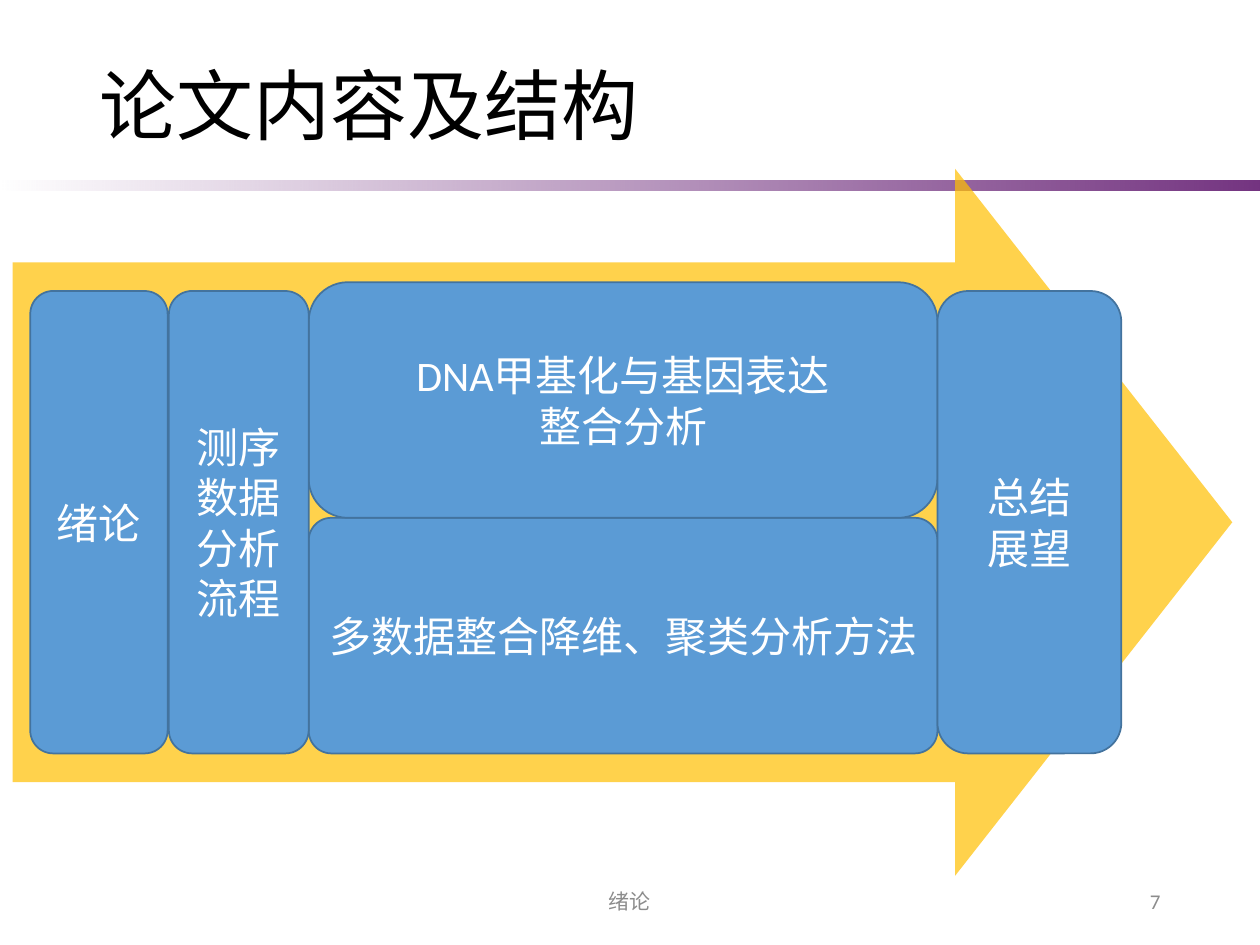
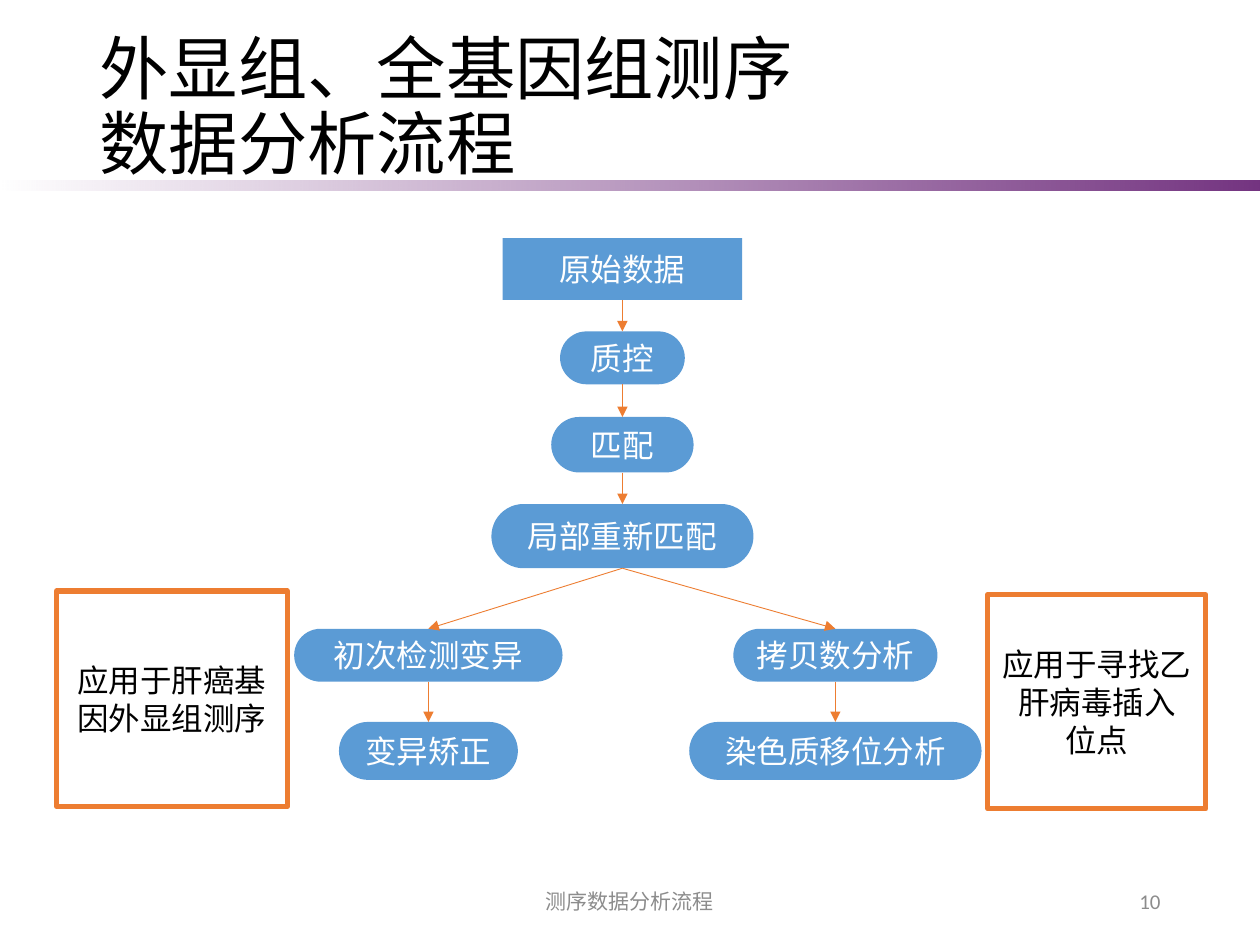
from lxml import etree
from pptx import Presentation
from pptx.dml.color import RGBColor
from pptx.enum.shapes import MSO_CONNECTOR, MSO_SHAPE
from pptx.enum.text import MSO_ANCHOR, MSO_AUTO_SIZE, PP_ALIGN
from pptx.oxml.ns import qn
from pptx.util import Inches, Pt

PURPLE = RGBColor(0x74, 0x34, 0x81)
GOLD = RGBColor(0xFF, 0xC0, 0x00)
BLUE = RGBColor(0x5B, 0x9B, 0xD5)
DARK_BLUE = RGBColor(0x43, 0x73, 0x9E)
ORANGE = RGBColor(0xED, 0x7D, 0x31)
GREY = RGBColor(0x8C, 0x8C, 0x8C)
BLACK = RGBColor(0x00, 0x00, 0x00)
WHITE = RGBColor(0xFF, 0xFF, 0xFF)

CHINESE_FONT = "Noto Sans CJK SC"
LEFT, CENTER, RIGHT = PP_ALIGN.LEFT, PP_ALIGN.CENTER, PP_ALIGN.RIGHT
MIDDLE = MSO_ANCHOR.MIDDLE
NO_AUTOFIT = MSO_AUTO_SIZE.NONE
RECTANGLE = MSO_SHAPE.RECTANGLE
ROUNDED = MSO_SHAPE.ROUNDED_RECTANGLE
RIGHT_ARROW = MSO_SHAPE.RIGHT_ARROW
STRAIGHT = MSO_CONNECTOR.STRAIGHT
TITLE_ONLY = 5
TOP_SITE, BOTTOM_SITE = 0, 2


def write_text(frame, text, size, color, align=CENTER, font=CHINESE_FONT, spacing=None):
    """Fill a text frame, one paragraph per line of text."""
    frame.word_wrap = True
    frame.auto_size = NO_AUTOFIT
    frame.vertical_anchor = MIDDLE
    frame.text = text
    for para in frame.paragraphs:
        para.alignment = align
        para.line_spacing = spacing
        for span in para.runs:
            span.font.size = Pt(size)
            span.font.name = font
            span.font.color.rgb = color
            east_asian = etree.SubElement(span.font._element, qn("a:ea"))
            east_asian.set("typeface", CHINESE_FONT)


def set_opacity(shape, percent):
    """Make the first colour of a shape partly transparent."""
    color = next(shape.element.iter(qn("a:srgbClr")))
    etree.SubElement(color, qn("a:alpha")).set("val", str(percent * 1000))


def add_box(page, kind, bounds, fill=None, line=None, line_width=1, adjustments=()):
    """Add a preset shape without shadow."""
    box = page.shapes.add_shape(kind, *map(Inches, bounds))
    box.shadow.inherit = False
    for index, value in enumerate(adjustments):
        box.adjustments[index] = value
    if fill is None:
        box.fill.background()
    else:
        box.fill.solid()
        box.fill.fore_color.rgb = fill
    if line is None:
        box.line.fill.background()
    else:
        box.line.color.rgb = line
        box.line.width = Pt(line_width)
    return box


def add_band(page):
    """Add the purple band that fades out to the left."""
    band = add_box(page, RECTANGLE, (0, 1.43, 10, 0.08))
    band.fill.gradient()
    band.fill.gradient_angle = 0
    for stop in band.fill.gradient_stops:
        stop.color.rgb = PURPLE
    set_opacity(band, 0)


def add_footer(page, bounds, text, align):
    """Add a small grey text at the foot of the page."""
    box = page.shapes.add_textbox(*map(Inches, bounds))
    write_text(box.text_frame, text, 12, GREY, align, "Calibri")


def add_page(deck, title, section, number, title_size=44):
    """Add a page with title, band, section name and page number."""
    page = deck.slides.add_slide(deck.slide_layouts[TITLE_ONLY])
    add_band(page)
    heading = page.shapes.title
    heading.left, heading.top, heading.width, heading.height = map(
        Inches, (0.69, 0.4, 8.62, 0.94))
    write_text(heading.text_frame, title, title_size, BLACK, LEFT, "Arial", 0.9)
    add_footer(page, (3.31, 6.95, 3.38, 0.4), section, CENTER)
    add_footer(page, (7.06, 6.95, 2.25, 0.4), number, RIGHT)
    return page


def add_chapter(page, bounds, text, font=CHINESE_FONT, adjustments=()):
    """Add a blue block that names a chapter."""
    box = add_box(page, ROUNDED, bounds, BLUE, DARK_BLUE, adjustments=adjustments)
    write_text(box.text_frame, text, 24, WHITE, font=font)


def add_step(page, center, top, width, height, text, rounding=0.5):
    """Add a step of the flow, centred on a column."""
    bounds = (center - width / 2, top, width, height)
    box = add_box(page, ROUNDED, bounds, BLUE, adjustments=[rounding])
    frame = box.text_frame
    frame.margin_left = frame.margin_right = 0
    write_text(frame, text, 18, WHITE)
    return box


def add_arrow(page, start, end):
    """Join the bottom of one step to the top of the next."""
    arrow = page.shapes.add_connector(STRAIGHT, 0, 0, 0, 0)
    arrow.begin_connect(start, BOTTOM_SITE)
    arrow.end_connect(end, TOP_SITE)
    arrow.line.color.rgb = ORANGE
    arrow.line.width = Pt(0.5)
    properties = arrow.element.spPr
    line = properties.find(qn("a:ln"))
    etree.SubElement(line, qn("a:tailEnd")).set("type", "triangle")
    etree.SubElement(properties, qn("a:effectLst"))


def add_note(page, bounds, text):
    """Add an orange frame that tells where a branch is applied."""
    box = add_box(page, RECTANGLE, bounds, line=ORANGE, line_width=3)
    write_text(box.text_frame, text, 18, BLACK)


def build_structure(deck):
    """Build the page on the structure of the thesis."""
    page = add_page(deck, "论文内容及结构", "绪论", "7")
    arrow = add_box(page, RIGHT_ARROW, (0.1, 1.34, 9.68, 5.61), GOLD,
                    adjustments=[0.735, 0.392])
    set_opacity(arrow, 70)
    add_chapter(page, (2.45, 4.11, 4.99, 1.87), "多数据整合降维、聚类分析方法",
                adjustments=[0.096])
    add_chapter(page, (2.45, 2.24, 4.99, 1.87), "DNA甲基化与基因表达\n整合分析",
                font="Calibri")
    for left, width, text in (
        (0.24, 1.09, "绪论"),
        (1.34, 1.11, "测序数据\n分析流程"),
        (7.44, 1.46, "总结\n展望"),
    ):
        add_chapter(page, (left, 2.31, width, 3.67), text)


def build_flow(deck):
    """Build the page on the sequencing analysis flow."""
    page = add_page(deck, "外显组、全基因组测序\v数据分析流程",
                    "测序数据分析流程", "10", 39.6)
    trunk, left, right = 4.94, 3.4, 6.63
    raw = add_step(page, trunk, 1.89, 1.9, 0.49, "原始数据", rounding=0)
    quality = add_step(page, trunk, 2.63, 0.99, 0.42, "质控")
    match = add_step(page, trunk, 3.31, 1.13, 0.44, "匹配")
    rematch = add_step(page, trunk, 4, 2.08, 0.51, "局部重新匹配")
    detect = add_step(page, left, 4.99, 2.13, 0.42, "初次检测变异")
    correct = add_step(page, left, 5.73, 1.42, 0.46, "变异矫正")
    copies = add_step(page, right, 4.99, 1.62, 0.42, "拷贝数分析")
    shifts = add_step(page, right, 5.73, 2.32, 0.46, "染色质移位分析")
    for chain in ((raw, quality, match, rematch),
                  (rematch, detect, correct),
                  (rematch, copies, shifts)):
        for start, end in zip(chain, chain[1:]):
            add_arrow(page, start, end)
    add_note(page, (0.45, 4.69, 1.83, 1.71), "应用于肝癌基因外显组测序")
    add_note(page, (7.84, 4.72, 1.73, 1.7), "应用于寻找乙肝病毒插入\n位点")


def main():
    """Build and save the deck."""
    deck = Presentation()
    deck.slide_width, deck.slide_height = Inches(10), Inches(7.5)
    build_structure(deck)
    build_flow(deck)
    deck.save("out.pptx")


if __name__ == "__main__":
    main()
